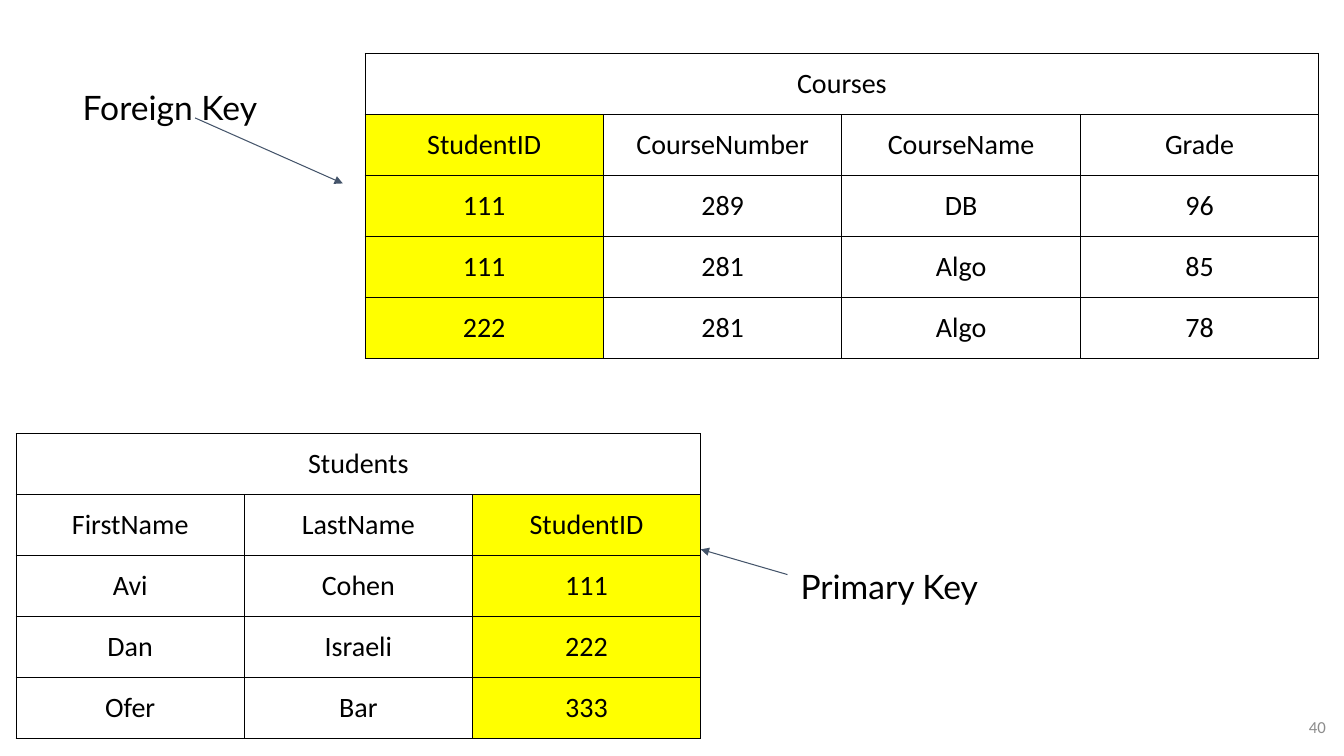
from dataclasses import dataclass

from lxml import etree
from pptx import Presentation
from pptx.dml.color import RGBColor
from pptx.enum.shapes import MSO_CONNECTOR
from pptx.enum.text import MSO_ANCHOR, PP_ALIGN
from pptx.oxml.ns import qn
from pptx.shapes.autoshape import Shape
from pptx.slide import Slide
from pptx.table import _Cell
from pptx.text.text import TextFrame
from pptx.util import Inches, Pt

LEFT, CENTER, RIGHT = PP_ALIGN.LEFT, PP_ALIGN.CENTER, PP_ALIGN.RIGHT
TOP, MIDDLE = MSO_ANCHOR.TOP, MSO_ANCHOR.MIDDLE
STRAIGHT = MSO_CONNECTOR.STRAIGHT
BOTTOM_SITE, LEFT_SITE = 2, 1


@dataclass(frozen=True)
class Theme:
    text: str = "000000"
    border: str = "000000"
    key_fill: str = "FFFF00"
    arrow: str = "44546A"
    number: str = "8C8C8C"
    table_font: str = "Calibri"
    label_font: str = "Lato"
    cell_size: int = 20
    label_size: int = 24
    number_size: int = 12
    line_width: float = 0.75
    inset: float = 0.13


@dataclass(frozen=True)
class Relation:
    name: str
    left: float
    top: float
    width: float
    height: float
    key_column: int
    rows: list[list[str]]


@dataclass(frozen=True)
class KeyLabel:
    text: str
    left: float
    top: float
    site: int
    target: tuple[float, float]


THEME = Theme()

RELATIONS = [
    Relation("Students", 0.16, 4.3, 6.79, 3.03, 2, [
        ["FirstName", "LastName", "StudentID"],
        ["Avi", "Cohen", "111"],
        ["Dan", "Israeli", "222"],
        ["Ofer", "Bar", "333"],
    ]),
    Relation("Courses", 3.62, 0.53, 9.46, 3.03, 0, [
        ["StudentID", "CourseNumber", "CourseName", "Grade"],
        ["111", "289", "DB", "96"],
        ["111", "281", "Algo", "85"],
        ["222", "281", "Algo", "78"],
    ]),
]

LABELS = [
    KeyLabel("Primary Key", 7.81, 5.48, LEFT_SITE, (6.95, 5.45)),
    KeyLabel("Foreign Key", 0.69, 0.73, BOTTOM_SITE, (3.4, 1.82)),
]


def write(tf: TextFrame, text: str, font: str, size: int, color: str,
          align: PP_ALIGN) -> None:
    p = tf.paragraphs[0]
    p.alignment = align
    r = p.add_run()
    r.text = text
    r.font.name = font
    r.font.size = Pt(size)
    r.font.bold = False
    r.font.color.rgb = RGBColor.from_string(color)


def add_borders(cell: _Cell) -> None:
    tc_pr = cell._tc.get_or_add_tcPr()
    for side in ("a:lnL", "a:lnR", "a:lnT", "a:lnB"):
        ln = etree.SubElement(tc_pr, qn(side), w=str(Pt(THEME.line_width)))
        fill = etree.SubElement(ln, qn("a:solidFill"))
        etree.SubElement(fill, qn("a:srgbClr"), val=THEME.border)


def add_relation(s: Slide, rel: Relation) -> None:
    n_rows, n_cols = len(rel.rows) + 1, len(rel.rows[0])
    table = s.shapes.add_table(
        n_rows, n_cols, Inches(rel.left), Inches(rel.top),
        Inches(rel.width), Inches(rel.height)).table
    table.first_row = table.horz_banding = False

    # Borders, margins and the highlighted key column
    for i in range(n_rows):
        for j in range(n_cols):
            cell = table.cell(i, j)
            add_borders(cell)
            cell.margin_left = cell.margin_right = Inches(THEME.inset)
            cell.margin_top = cell.margin_bottom = Inches(THEME.inset)
            if i > 0 and j == rel.key_column:
                cell.fill.solid()
                cell.fill.fore_color.rgb = RGBColor.from_string(THEME.key_fill)
            else:
                cell.fill.background()

    # Name across the top, then the attributes and records
    table.cell(0, 0).merge(table.cell(0, n_cols - 1))
    for i, row in enumerate([[rel.name], *rel.rows]):
        for j, text in enumerate(row):
            write(table.cell(i, j).text_frame, text, THEME.table_font,
                  THEME.cell_size, THEME.text, CENTER)


def add_text(s: Slide, text: str, left: float, top: float, width: float,
             height: float, inset: float, anchor: MSO_ANCHOR, font: str,
             size: int, color: str, align: PP_ALIGN) -> Shape:
    sp = s.shapes.add_textbox(Inches(left), Inches(top),
                              Inches(width), Inches(height))
    tf = sp.text_frame
    tf.word_wrap = True
    tf.vertical_anchor = anchor
    tf.margin_left = tf.margin_right = Inches(inset)
    tf.margin_top = tf.margin_bottom = Inches(inset)
    write(tf, text, font, size, color, align)
    return sp


def add_key_label(s: Slide, label: KeyLabel) -> None:
    sp = add_text(s, label.text, label.left, label.top, 2.49, 0.44,
                  THEME.inset, TOP, THEME.label_font, THEME.label_size,
                  THEME.text, LEFT)
    x, y = label.target
    arrow = s.shapes.add_connector(STRAIGHT, sp.left, sp.top,
                                   Inches(x), Inches(y))
    arrow.begin_connect(sp, label.site)
    arrow.line.width = Pt(THEME.line_width)
    arrow.line.color.rgb = RGBColor.from_string(THEME.arrow)
    etree.SubElement(arrow.line._get_or_add_ln(), qn("a:tailEnd"),
                     type="triangle")
    etree.SubElement(arrow._element.spPr, qn("a:effectLst"))


def main() -> None:
    prs = Presentation()
    prs.slide_width, prs.slide_height = Inches(13.33), Inches(7.5)
    s = prs.slides.add_slide(prs.slide_layouts[6])

    # Tables
    for rel in RELATIONS:
        add_relation(s, rel)

    # Key labels with arrows
    for label in LABELS:
        add_key_label(s, label)

    # Slide number
    add_text(s, "40", 12.45, 6.93, 0.8, 0.57, 0.1, MIDDLE, THEME.table_font,
             THEME.number_size, THEME.number, RIGHT)

    prs.save("out.pptx")


if __name__ == "__main__":
    main()
